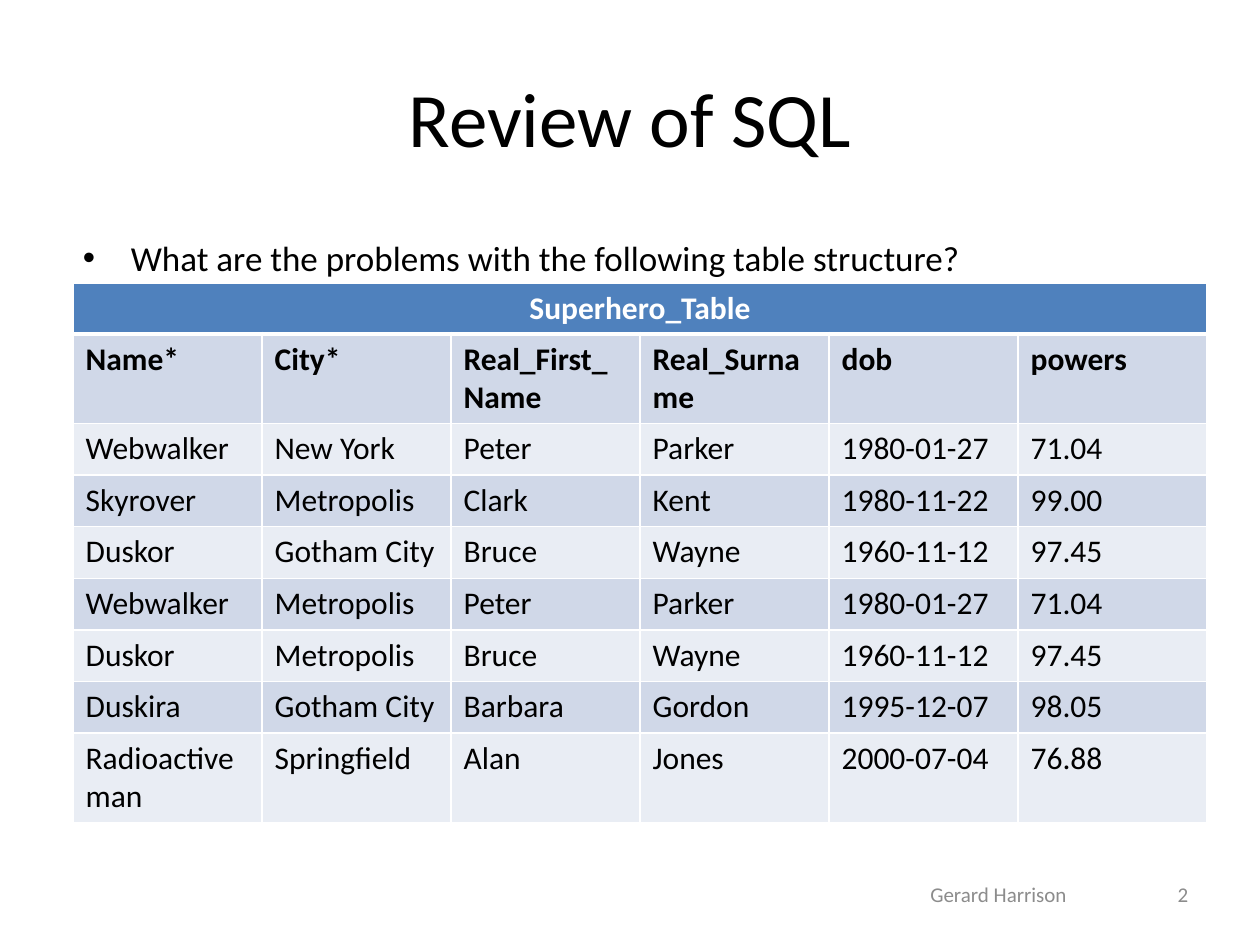
from typing import NamedTuple

from lxml.etree import SubElement
from pptx import Presentation
from pptx.dml.color import RGBColor
from pptx.enum.text import MSO_ANCHOR, PP_ALIGN
from pptx.oxml.ns import qn
from pptx.util import Inches, Pt

FONT = "Calibri"
BLACK, WHITE, GRAY = "000000", "FFFFFF", "8C8C8C"
HEADER_FILL, BAND_DARK, BAND_LIGHT = "4F81BD", "D0D8E8", "E9EDF4"


class Hero(NamedTuple):
    name: str
    city: str
    first_name: str
    surname: str
    dob: str
    powers: str


class FooterPart(NamedTuple):
    text: str
    left: float
    width: float
    align: PP_ALIGN


HEADINGS = Hero("Name*", "City*", "Real_First_Name", "Real_Surname", "dob", "powers")
HEROES = [
    Hero("Webwalker", "New York", "Peter", "Parker", "1980-01-27", "71.04"),
    Hero("Skyrover", "Metropolis", "Clark", "Kent", "1980-11-22", "99.00"),
    Hero("Duskor", "Gotham City", "Bruce", "Wayne", "1960-11-12", "97.45"),
    Hero("Webwalker", "Metropolis", "Peter", "Parker", "1980-01-27", "71.04"),
    Hero("Duskor", "Metropolis", "Bruce", "Wayne", "1960-11-12", "97.45"),
    Hero("Duskira", "Gotham City", "Barbara", "Gordon", "1995-12-07", "98.05"),
    Hero("Radioactive man", "Springfield", "Alan", "Jones", "2000-07-04", "76.88"),
]
FOOTER = [
    FooterPart("Gerard Harrison", 6.34, 3.17, PP_ALIGN.CENTER),
    FooterPart("2", 7.2, 2.33, PP_ALIGN.RIGHT),
]
ROW_HEIGHTS = [0.4, 0.71] + [0.41] * 6 + [0.71]


def rgb(value: str) -> RGBColor:
    return RGBColor.from_string(value)


def write(frame, text: str, size: float, color: str,
          align: PP_ALIGN = PP_ALIGN.LEFT, bold: bool = False):
    """Fill a text frame with one formatted paragraph and return it."""
    frame.text = text
    paragraph = frame.paragraphs[0]
    paragraph.alignment = align
    font = paragraph.font
    font.name, font.size, font.bold = FONT, Pt(size), bold
    font.color.rgb = rgb(color)
    return paragraph


def add_text_frame(left: float, top: float, width: float, height: float):
    box = slide.shapes.add_textbox(Inches(left), Inches(top), Inches(width), Inches(height))
    box.text_frame.word_wrap = True
    return box.text_frame


def add_bullet(paragraph, indent: float) -> None:
    properties = paragraph._p.get_or_add_pPr()
    properties.set("marL", str(Inches(indent)))
    properties.set("indent", str(-Inches(indent)))
    SubElement(properties, qn("a:buFont")).set("typeface", "Arial")
    SubElement(properties, qn("a:buChar")).set("char", "•")


def style_cell(cell, fill: str, bottom_width: float = 1) -> None:
    """Draw white borders, then the fill."""
    properties = cell._tc.get_or_add_tcPr()
    for side, width in (("L", 1), ("R", 1), ("T", 1), ("B", bottom_width)):
        line = SubElement(properties, qn(f"a:ln{side}"), w=str(Pt(width)))
        SubElement(SubElement(line, qn("a:solidFill")), qn("a:srgbClr"), val=WHITE)
    cell.fill.solid()
    cell.fill.fore_color.rgb = rgb(fill)


presentation = Presentation()
presentation.slide_width, presentation.slide_height = Inches(10), Inches(7.5)
slide = presentation.slides.add_slide(presentation.slide_layouts[5])

# Title
title = slide.shapes.title
title.left, title.top = Inches(0.5), Inches(0.3)
title.width, title.height = Inches(9), Inches(1.25)
title.text_frame.vertical_anchor = MSO_ANCHOR.MIDDLE
write(title.text_frame, "Review of SQL", 44, BLACK, PP_ALIGN.CENTER)

# Question
question = add_text_frame(0.56, 1.39, 9, 4.95)
question.margin_top = Inches(0.49)
add_bullet(write(question, "What are the problems with the following table structure?",
                 20, BLACK), 0.38)

# Footer
for part in FOOTER:
    footer = add_text_frame(part.left, 6.9, part.width, 0.4)
    footer.vertical_anchor = MSO_ANCHOR.MIDDLE
    write(footer, part.text, 12, GRAY, part.align)

# Superhero table
heroes = slide.shapes.add_table(
    len(ROW_HEIGHTS), len(HEADINGS), Inches(0.58), Inches(2.25),
    Inches(9), Inches(sum(ROW_HEIGHTS))).table
for row, height in zip(heroes.rows, ROW_HEIGHTS):
    row.height = Inches(height)

caption = heroes.cell(0, 0)
caption.merge(heroes.cell(0, len(HEADINGS) - 1))
for column in range(len(HEADINGS)):
    style_cell(heroes.cell(0, column), HEADER_FILL, bottom_width=3)
write(caption.text_frame, "Superhero_Table", 18, WHITE, PP_ALIGN.CENTER, bold=True)

for row_index, hero in enumerate([HEADINGS, *HEROES], start=1):
    for column, value in enumerate(hero):
        cell = heroes.cell(row_index, column)
        style_cell(cell, BAND_DARK if row_index % 2 else BAND_LIGHT)
        write(cell.text_frame, value, 18, BLACK, bold=hero is HEADINGS)

presentation.save("out.pptx")
